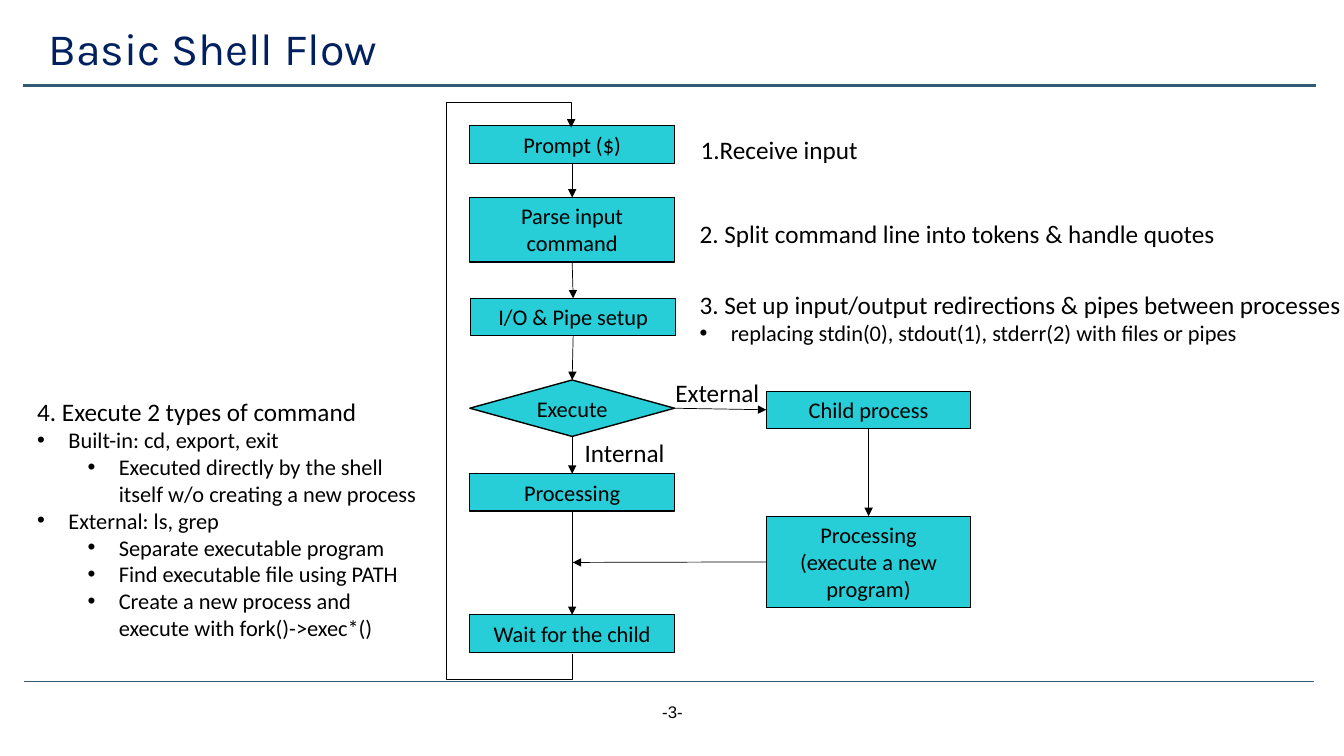
from dataclasses import dataclass

from lxml import etree
from pptx import Presentation
from pptx import util as u
from pptx.dml.color import RGBColor
from pptx.enum import shapes, text
from pptx.oxml import ns

Inches = u.Inches
TOP, LEFT, BOTTOM, RIGHT = range(4)


@dataclass(frozen=True)
class Theme:
    ink: str = "000000"
    title: str = "002060"
    rule: str = "335B74"
    box: str = "27CED7"
    body_font: str = "Calibri"
    title_font: str = "Karla"
    footer_font: str = "Arial"
    title_size: int = 32
    note_size: int = 18
    box_size: int = 16
    footer_size: int = 12


THEME = Theme()


def color(value):
    return RGBColor.from_string(value)


def add_xml(parent, tag, **attributes):
    return etree.SubElement(parent, ns.qn(tag), **attributes)


# Text
def write(paragraph, words, *, size=THEME.box_size, font=THEME.body_font,
          ink=THEME.ink, align=text.PP_ALIGN.LEFT, spacing=None, level=None):
    """Fill a paragraph; a level of 0 or more makes it a bullet."""
    run = paragraph.add_run()
    run.text = words
    run.font.size = u.Pt(size)
    run.font.name = font
    run.font.color.rgb = color(ink)
    paragraph.alignment = align
    if spacing:
        paragraph.line_spacing = spacing
    if level is not None:
        paragraph.level = level
        properties = paragraph._p.get_or_add_pPr()
        properties.set("marL", str(Inches(0.31 + 0.5 * level)))
        properties.set("indent", str(Inches(-0.31)))
        add_xml(properties, "a:buFont", typeface="Arial")
        add_xml(properties, "a:buChar", char="•")


def next_paragraph(frame, index):
    return frame.add_paragraph() if index else frame.paragraphs[0]


def add_text(slide, place, words, *, wrap=True, grow=False,
             anchor=text.MSO_ANCHOR.TOP, bullets=(), **style):
    """Add a text box with a first line and (level, words) bullets."""
    frame = slide.shapes.add_textbox(*map(Inches, place)).text_frame
    frame.word_wrap = wrap
    frame.vertical_anchor = anchor
    if grow:
        frame.auto_size = text.MSO_AUTO_SIZE.SHAPE_TO_FIT_TEXT
    write(frame.paragraphs[0], words, **style)
    for level, bullet in bullets:
        write(frame.add_paragraph(), bullet, level=level)


def add_note(slide, place, words, **options):
    add_text(slide, place, words, size=THEME.note_size, grow=True, **options)


# Flow steps
def add_step(slide, left, top, height, *lines, decision=False):
    kind = shapes.MSO_SHAPE.FLOWCHART_DECISION if decision else shapes.MSO_SHAPE.RECTANGLE
    shape = slide.shapes.add_shape(kind, *map(Inches, (left, top, 2.03, height)))
    shape.shadow.inherit = False
    shape.fill.solid()
    shape.fill.fore_color.rgb = color(THEME.box)
    shape.line.color.rgb = color(THEME.ink)
    shape.line.width = u.Pt(1 if decision else 0.75)
    frame = shape.text_frame
    frame.word_wrap = True
    if decision:
        frame.vertical_anchor = text.MSO_ANCHOR.MIDDLE
    else:
        frame.vertical_anchor = text.MSO_ANCHOR.TOP
        frame.auto_size = text.MSO_AUTO_SIZE.SHAPE_TO_FIT_TEXT
    for index, line in enumerate(lines):
        write(next_paragraph(frame, index), line, align=text.PP_ALIGN.CENTER)
    return shape


# Lines and arrows
def add_line(slide, start, end, *, ink=THEME.ink, width=0.5, arrow=False,
             kind=shapes.MSO_CONNECTOR.STRAIGHT):
    line = slide.shapes.add_connector(kind, *map(Inches, (*start, *end)))
    line.line.color.rgb = color(ink)
    line.line.width = u.Pt(width)
    if arrow:
        add_xml(line.line._get_or_add_ln(), "a:tailEnd", type="triangle")
    add_xml(line._element.spPr, "a:effectLst")
    return line


def join(slide, source, source_side, target, target_side):
    arrow = add_line(slide, (0, 0), (1, 1), arrow=True)
    arrow.begin_connect(source, source_side)
    arrow.end_connect(target, target_side)


def add_loop(slide, center_x, top, bottom, reach, overshoot):
    """Arrow that leaves at the bottom, runs up on the left and enters at the top."""
    length, thickness = bottom - top, 0.01
    left = center_x - length / 2
    middle = (top + bottom) / 2
    loop = add_line(slide, (left, middle), (left + length, middle + thickness),
                    arrow=True, kind=shapes.MSO_CONNECTOR.ELBOW)
    properties = loop._element.spPr
    frame = properties.find(ns.qn("a:xfrm"))
    frame.set("rot", str(90 * 60000))
    frame.set("flipH", "1")
    geometry = properties.find(ns.qn("a:prstGeom"))
    geometry.set("prst", "bentConnector5")
    adjustments = geometry.find(ns.qn("a:avLst"))
    if adjustments is None:
        adjustments = add_xml(geometry, "a:avLst")
    ratios = (-overshoot / length, reach / thickness, 1 + overshoot / length)
    for number, ratio in enumerate(ratios, 1):
        add_xml(adjustments, "a:gd", name=f"adj{number}",
                fmla=f"val {round(ratio * 100000)}")


def add_frame(slide):
    add_line(slide, (0.24, 6.76), (13.03, 6.76), ink=THEME.rule)
    add_line(slide, (0.23, 0.85), (13.05, 0.85), ink=THEME.rule, width=1.75)
    add_text(slide, (5.17, 6.91, 3, 0.4), "-3-", size=THEME.footer_size,
             font=THEME.footer_font, align=text.PP_ALIGN.CENTER)
    add_text(slide, (0.38, 0.19, 12.43, 0.63), "Basic Shell Flow",
             size=THEME.title_size, font=THEME.title_font, ink=THEME.title,
             spacing=0.9, anchor=text.MSO_ANCHOR.MIDDLE)


def add_flow(slide):
    main_left, child_left = 4.66, 7.6
    prompt = add_step(slide, main_left, 1.25, 0.37, "Prompt ($)")
    parsing = add_step(slide, main_left, 1.96, 0.64, "Parse input command")
    setup = add_step(slide, main_left + 0.01, 2.96, 0.37, "I/O & Pipe setup")
    execute = add_step(slide, main_left, 3.77, 0.56, "Execute", decision=True)
    internal = add_step(slide, main_left, 4.7, 0.37, "Processing")
    wait = add_step(slide, main_left, 6.1, 0.37, "Wait for the child")
    child = add_step(slide, child_left, 3.88, 0.37, "Child process")
    program = add_step(slide, child_left, 5.12, 0.91,
                       "Processing", "(execute a new program)")

    main_steps = [prompt, parsing, setup, execute, internal, wait]
    for source, target in [*zip(main_steps, main_steps[1:]), (child, program)]:
        join(slide, source, BOTTOM, target, TOP)
    join(slide, execute, RIGHT, child, LEFT)
    back = add_line(slide, (child_left, 5.57), (5.68, 5.58), arrow=True)
    back.begin_connect(program, LEFT)
    add_loop(slide, 5.67, top=1.26, bottom=6.48, reach=1.27, overshoot=0.25)

    add_note(slide, (6.6, 3.69, 1.04, 0.4), "External", wrap=False)
    add_note(slide, (5.7, 4.29, 1, 0.4), "Internal", wrap=False)


def add_explanations(slide):
    add_note(slide, (6.85, 1.28, 1.84, 0.4), "1.Receive input", wrap=False)
    add_note(slide, (6.84, 2.12, 5.37, 0.4),
             "2. Split command line into tokens & handle quotes", wrap=False)
    add_note(slide, (6.84, 2.82, 6.64, 0.67),
             "3. Set up input/output redirections & pipes between processes",
             wrap=False, bullets=[
                 (0, "replacing stdin(0), stdout(1), stderr(2) with files or pipes")])
    add_note(slide, (0.27, 3.88, 4.05, 2.56), "4. Execute 2 types of command", bullets=[
        (0, "Built-in: cd, export, exit"),
        (1, "Executed directly by the shell itself w/o creating a new process"),
        (0, "External: ls, grep"),
        (1, "Separate executable program"),
        (1, "Find executable file using PATH"),
        (1, "Create a new process and execute with fork()->exec*()")])


def main():
    presentation = Presentation()
    presentation.slide_width = Inches(13.33)
    presentation.slide_height = Inches(7.5)
    slide = presentation.slides.add_slide(presentation.slide_layouts[6])
    add_frame(slide)
    add_flow(slide)
    add_explanations(slide)
    presentation.save("out.pptx")


if __name__ == "__main__":
    main()
